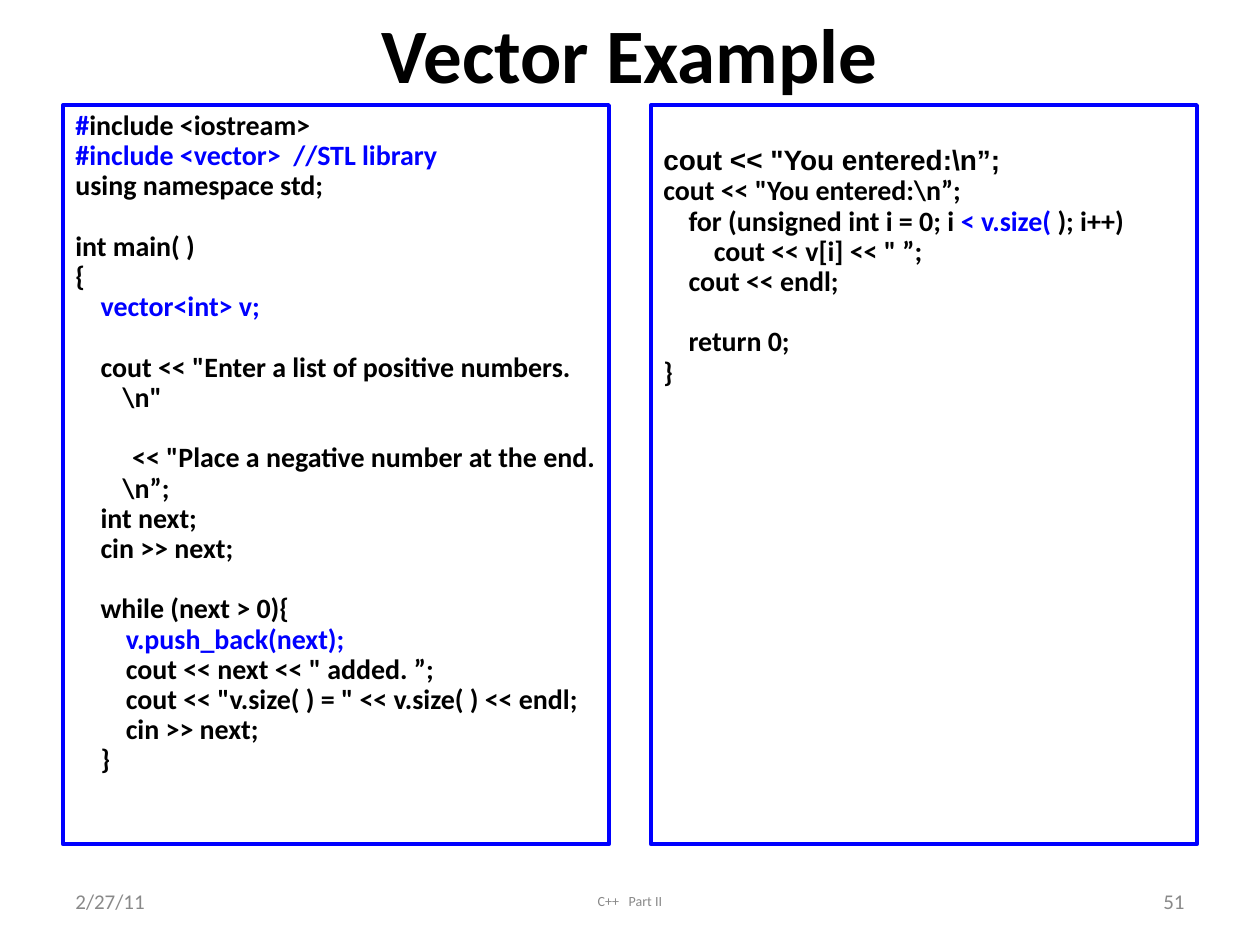
from pptx import Presentation
from pptx.dml.color import RGBColor
from pptx.enum.shapes import MSO_SHAPE as SHAPE
from pptx.enum.text import MSO_ANCHOR as ANCHOR, PP_ALIGN as ALIGN
from pptx.util import Pt

BLACK, BLUE, GRAY = "000000", "0000FF", "898989"
LINE_GAP = 17.3


def rgb(color):
    return RGBColor.from_string(color)


def add_text(p, text, size=16, color=BLACK, bold=True, font="Calibri"):
    r = p.add_run()
    r.text = text
    r.font.size = Pt(size)
    r.font.bold = bold
    r.font.name = font
    r.font.color.rgb = rgb(color)


prs = Presentation()
prs.slide_width, prs.slide_height = Pt(720), Pt(540)
s = prs.slides.add_slide(prs.slide_layouts[5])

title = s.shapes.title
title.left, title.top, title.width, title.height = Pt(36), Pt(0), Pt(648), Pt(60)
tf = title.text_frame
tf.vertical_anchor = ANCHOR.MIDDLE
p = tf.paragraphs[0]
p.alignment = ALIGN.CENTER
add_text(p, "Vector Example", size=44)

# Each line: (blank line above, runs); each run: (text, format)
blue = {"color": BLUE}
input_code = [
    (False, [("#", blue), ("include <iostream>", {})]),
    (False, [("#include <vector>  //STL library", blue)]),
    (False, [("using namespace std;", {})]),
    (True, [("int main( )", {})]),
    (False, [("{", {})]),
    (False, [("    vector<int> v;", blue)]),
    (True, [(r'    cout << "Enter a list of positive numbers.\n"', {})]),
    (True, [(r'         << "Place a negative number at the end.\n”;', {})]),
    (False, [("    int next;", {})]),
    (False, [("    cin >> next;", {})]),
    (True, [("    while (next > 0){", {})]),
    (False, [("        v.push_back(next);", blue)]),
    (False, [('        cout << next << " added. ”;', {})]),
    (False, [('        cout << "v.size( ) = " << v.size( ) << endl;', {})]),
    (False, [("        cin >> next;", {})]),
    (False, [("    }", {})]),
]
output_code = [
    (False, [(r'cout << "You entered:\n”;', {"font": "Arial"})]),
    (False, [(r'cout << "You entered:\n”;', {})]),
    (False, [("    for (unsigned int i = 0; i ", {}), ("< v.size( ", blue), ("); i++)", {})]),
    (False, [('        cout << v[i] << " ”;', {})]),
    (False, [("    cout << endl;", {})]),
    (True, [("    return 0;", {})]),
    (False, [("}", {})]),
]

for left, top_inset, code in [(36, 3.6, input_code), (372, 23.7, output_code)]:
    sp = s.shapes.add_shape(SHAPE.RECTANGLE, Pt(left), Pt(60), Pt(312), Pt(422.5))
    sp.shadow.inherit = False
    sp.fill.background()
    sp.line.color.rgb = rgb(BLUE)
    sp.line.width = Pt(2.25)
    tf = sp.text_frame
    tf.word_wrap = True
    tf.vertical_anchor = ANCHOR.TOP
    tf.margin_top = Pt(top_inset)
    for i, (blank_above, runs) in enumerate(code):
        p = tf.add_paragraph() if i else tf.paragraphs[0]
        p.alignment = ALIGN.LEFT
        p.line_spacing = 0.9
        p.space_before = Pt(LINE_GAP if blank_above else 0)
        pPr = p._p.get_or_add_pPr()
        pPr.set("marL", str(Pt(27)))
        pPr.set("indent", str(Pt(-27)))
        for text, style in runs:
            add_text(p, text, **style)

for left, width, text, size, align in [
    (36, 168, "2/27/11", 12, ALIGN.LEFT),
    (246, 228, "C++   Part II", 8, ALIGN.CENTER),
    (516, 168, "51", 12, ALIGN.RIGHT),
]:
    tf = s.shapes.add_textbox(Pt(left), Pt(500.5), Pt(width), Pt(28.75)).text_frame
    tf.word_wrap = True
    tf.vertical_anchor = ANCHOR.MIDDLE
    p = tf.paragraphs[0]
    p.alignment = align
    add_text(p, text, size=size, color=GRAY, bold=False)

prs.save("out.pptx")
